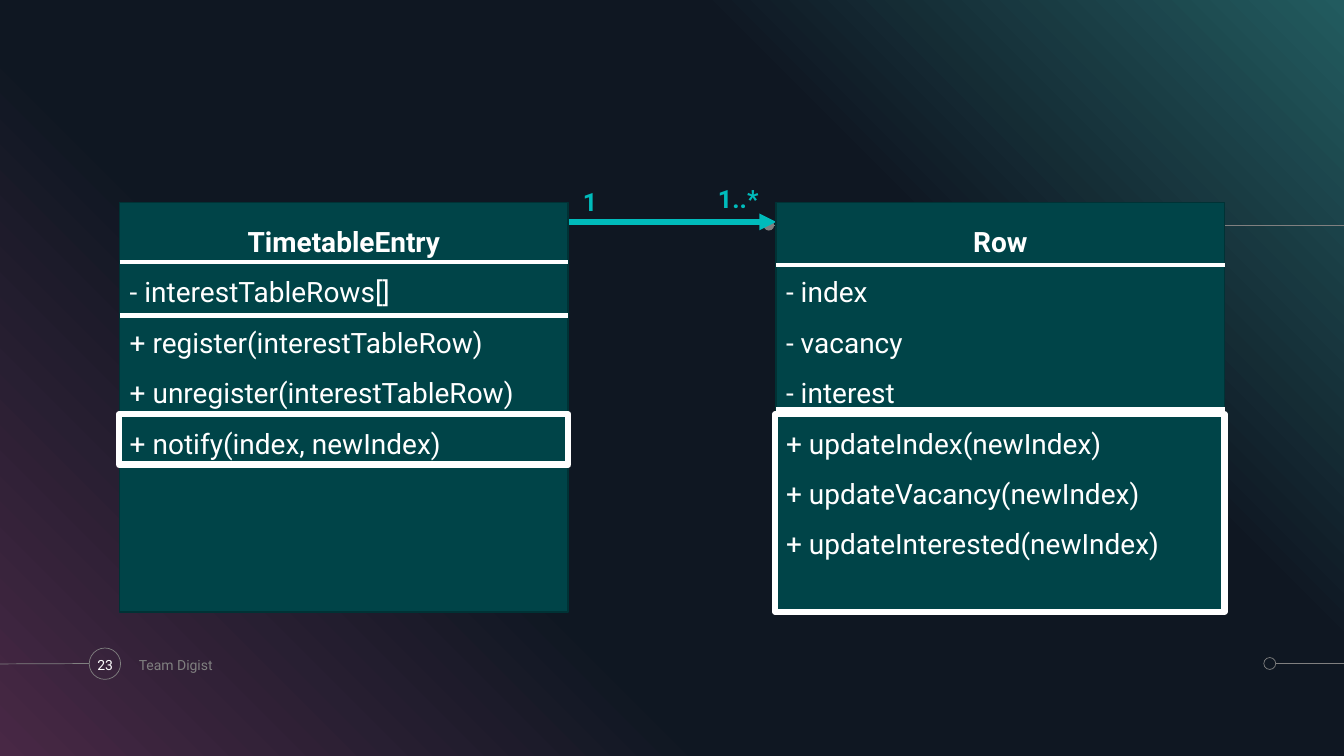
"""Build the class diagram slide linking TimetableEntry to Row."""
from dataclasses import dataclass

from lxml import etree
from pptx import Presentation
from pptx.dml.color import RGBColor
from pptx.enum.shapes import MSO_CONNECTOR, MSO_SHAPE
from pptx.enum.text import MSO_ANCHOR, PP_ALIGN
from pptx.oxml.ns import qn
from pptx.util import Cm, Pt

RECTANGLE, OVAL = MSO_SHAPE.RECTANGLE, MSO_SHAPE.OVAL
STRAIGHT = MSO_CONNECTOR.STRAIGHT
TOP, MIDDLE = MSO_ANCHOR.TOP, MSO_ANCHOR.MIDDLE
LEFT, CENTER, JUSTIFY = PP_ALIGN.LEFT, PP_ALIGN.CENTER, PP_ALIGN.JUSTIFY


@dataclass(frozen=True)
class Theme:
    font: str = "Roboto"
    white: str = "FFFFFF"
    gray: str = "808080"
    accent: str = "00BBBB"
    panel: str = "004448"
    panel_edge: str = "003235"
    backdrop: tuple = ((0, "482845"), (34, "0F1722"), (69, "0F1722"), (100, "225B5F"))
    footer_size: int = 10
    label_size: int = 18
    class_size: int = 20


theme = Theme()
deck = Presentation()
deck.slide_width, deck.slide_height = Cm(33.87), Cm(19.05)
page = deck.slides.add_slide(deck.slide_layouts[6])


def draw_shape(kind, area, fill=None, edge=None, weight=0.5):
    """Add a preset shape with an optional fill and outline."""
    shape = page.shapes.add_shape(kind, *map(Cm, area))
    shape.shadow.inherit = False
    for target, color in ((shape.fill, fill), (shape.line.fill, edge)):
        if color:
            target.solid()
            target.fore_color.rgb = RGBColor.from_string(color)
        else:
            target.background()
    if edge:
        shape.line.width = Pt(weight)
    return shape


def draw_line(start, end, color, weight):
    """Add a straight line without a shadow."""
    line = page.shapes.add_connector(STRAIGHT, *map(Cm, start + end))
    line.line.color.rgb = RGBColor.from_string(color)
    line.line.width = Pt(weight)
    etree.SubElement(line._element.spPr, qn("a:effectLst"))
    return line


backdrop = draw_shape(RECTANGLE, (0, 0, 33.87, 19.05))
backdrop.fill.gradient()
backdrop.fill.gradient_angle = 45
stops = backdrop._element.spPr.find(".//" + qn("a:gsLst"))
for stop in list(stops):
    stops.remove(stop)
for position, color in theme.backdrop:
    stop = etree.SubElement(stops, qn("a:gs"), pos=str(position * 1000))
    etree.SubElement(stop, qn("a:srgbClr"), val=color)

for start, end in (
    ((33.87, 5.67), (19.46, 5.67)),
    ((32.16, 16.72), (33.87, 16.72)),
    ((0, 16.73), (2.24, 16.72)),
):
    draw_line(start, end, theme.gray, 0.5)
draw_shape(OVAL, (19.24, 5.54, 0.27, 0.27), fill=theme.gray)
draw_shape(OVAL, (31.85, 16.57, 0.3, 0.3), edge=theme.gray)
draw_shape(OVAL, (2.25, 16.33, 0.79, 0.79), edge=theme.gray)

arrow = draw_line((14.31, 5.59), (19.56, 5.59), theme.accent, 4)
etree.SubElement(arrow.line._get_or_add_ln(), qn("a:tailEnd"), type="triangle")

texts = []
for label, area, anchor, align, size, color, bold in (
    ("23", (2.15, 16.33, 1, 0.84), MIDDLE, CENTER, theme.footer_size, theme.white, False),
    ("Team Digist", (3.25, 16.33, 8.1, 0.84), MIDDLE, LEFT, theme.footer_size, theme.gray, False),
    ("1", (14.2, 4.57, 1.35, 1.17), TOP, CENTER, theme.label_size, theme.accent, True),
    ("1..*", (17.65, 4.5, 1.91, 1.17), TOP, CENTER, theme.label_size, theme.accent, True),
):
    box = page.shapes.add_textbox(*map(Cm, area))
    texts.append((box, anchor, [(label, align, 1.0, size, color, bold)]))

panel_top, panel_width, panel_height = 5.11, 11.3, 10.31
for name, members, left, dividers, (frame_top, frame_height) in (
    (
        "Row",
        ("- index", "- vacancy", "- interest", "+ updateIndex(newIndex)",
         "+ updateVacancy(newIndex)", "+ updateInterested(newIndex)"),
        19.56, (6.68, 10.31), (10.44, 4.98),
    ),
    (
        "TimetableEntry",
        ("- interestTableRows[]", "+ register(interestTableRow)",
         "+ unregister(interestTableRow)", "+ notify(index, newIndex)"),
        3.02, (6.6, 7.95), (10.44, 1.27),
    ),
):
    area = (left, panel_top, panel_width, panel_height)
    panel = draw_shape(RECTANGLE, area, theme.panel, theme.panel_edge, 1)
    entries = [(name, CENTER, 1.5, theme.class_size, theme.white, True)]
    entries += [(member, JUSTIFY, 1.5, theme.class_size, theme.white, False) for member in members]
    texts.append((panel, TOP, entries))
    for height in dividers:
        draw_line((left, height), (left + panel_width, height), theme.white, 3)
    area = (left - 0.02, frame_top, panel_width + 0.02, frame_height)
    draw_shape(RECTANGLE, area, edge=theme.white, weight=4.5)

for box, anchor, entries in texts:
    frame = box.text_frame
    frame.word_wrap = True
    frame.vertical_anchor = anchor
    for index, (text, align, spacing, size, color, bold) in enumerate(entries):
        para = frame.add_paragraph() if index else frame.paragraphs[0]
        para.alignment = align
        para.line_spacing = spacing
        span = para.add_run()
        span.text = text
        span.font.color.rgb = RGBColor.from_string(color)
        for key, value in {"name": theme.font, "size": Pt(size), "bold": bold}.items():
            setattr(span.font, key, value)

deck.save("out.pptx")
